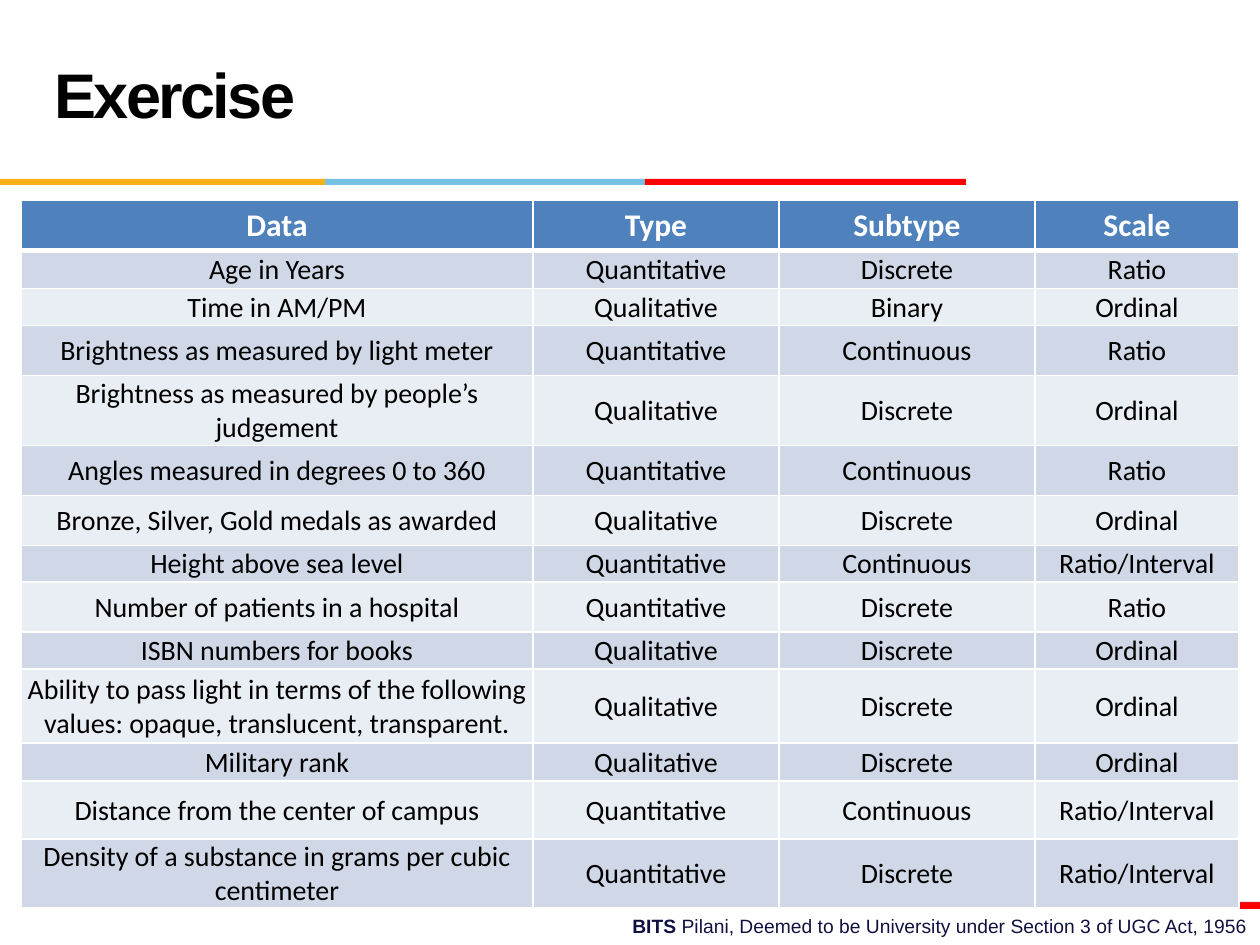
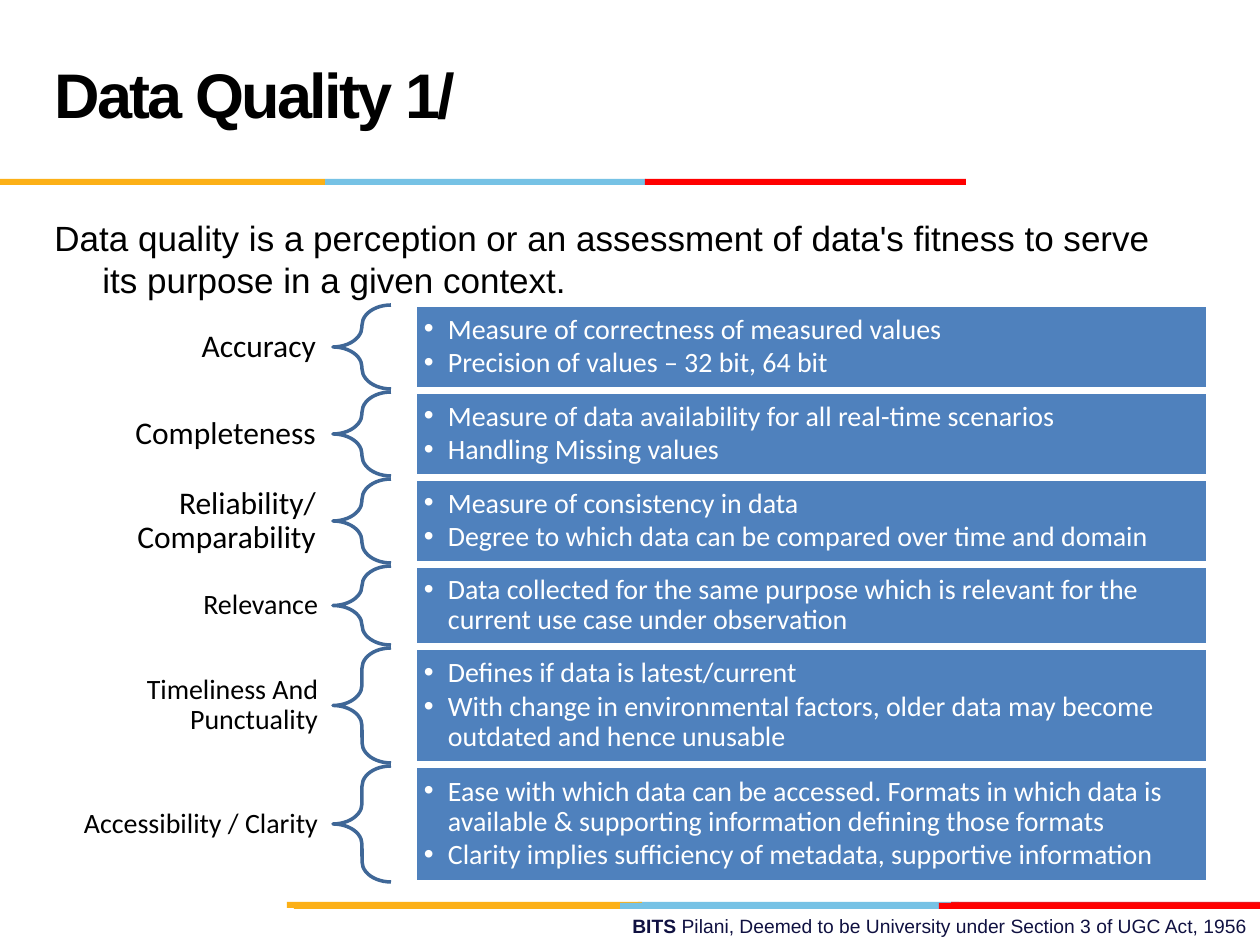
from lxml import etree
from pptx import Presentation, util as u
from pptx.dml.color import RGBColor
from pptx.enum import shapes, text
from pptx.oxml import ns

EMU_PER_PX = 914400 / 126

COLORS = {
    "black": "000000", "white": "FFFFFF", "navy": "101141",
    "gold": "FCB017", "sky": "76C2E5", "red": "FF0000", "crimson": "E31C24",
    "blue": "4F81BD", "brace": "3F6797",
    "odd_row": "D0D8E8", "even_row": "E9EDF4",
}

# Each stripe: colour, left, width
BANDS = [
    (902, [("sky", 638, 321), ("crimson", 951, 309), ("gold", 287, 355)]),
    (903, [("sky", 620, 321), ("gold", 294, 326), ("red", 939, 321)]),
    (179, [("sky", 325, 321), ("gold", 0, 325), ("red", 645, 321)]),
]
BAND_HEIGHT = 6

TITLE_FONT = {"name": "Arial", "size": u.Pt(36), "bold": True}
FOOTER_FONT = {"name": "Arial", "size": u.Pt(11)}
INTRO_FONT = {"name": "Arial", "size": u.Pt(20)}
BODY_FONT = {"name": "Calibri", "size": u.Pt(16), "bold": False}
HEADER_FONT = {"name": "Calibri", "size": u.Pt(18), "bold": True}

COLUMN_WIDTHS = [512, 246, 256, 204]
ROW_HEIGHTS = [50, 38, 37, 50, 70, 50, 50, 37, 50, 37, 74, 38, 58, 69]
EXERCISE_ROWS = [
    ("Data", "Type", "Subtype", "Scale"),
    ("Age in Years", "Quantitative", "Discrete", "Ratio"),
    ("Time in AM/PM", "Qualitative", "Binary", "Ordinal"),
    ("Brightness as measured by light meter", "Quantitative", "Continuous", "Ratio"),
    ("Brightness as measured by people’s judgement", "Qualitative", "Discrete", "Ordinal"),
    ("Angles measured in degrees 0 to 360", "Quantitative", "Continuous", "Ratio"),
    ("Bronze, Silver, Gold medals as awarded", "Qualitative", "Discrete", "Ordinal"),
    ("Height above sea level", "Quantitative", "Continuous", "Ratio/Interval"),
    ("Number of patients in a hospital", "Quantitative", "Discrete", "Ratio"),
    ("ISBN numbers for books", "Qualitative", "Discrete", "Ordinal"),
    ("Ability to pass light in terms of the following values: opaque, translucent, "
     "transparent.", "Qualitative", "Discrete", "Ordinal"),
    ("Military rank", "Qualitative", "Discrete", "Ordinal"),
    ("Distance from the center of campus", "Quantitative", "Continuous", "Ratio/Interval"),
    ("Density of a substance in grams per cubic centimeter", "Quantitative", "Discrete",
     "Ratio/Interval"),
]

# Each dimension: label, label size in points, row height, points
QUALITY_DIMENSIONS = [
    ("Accuracy", 18, 84, ["Measure of correctness of measured values",
                          "Precision of values – 32 bit, 64 bit"]),
    ("Completeness", 18, 84, ["Measure of data availability for all real-time scenarios",
                              "Handling Missing values"]),
    ("Reliability/Comparability", 18, 84, [
        "Measure of consistency in data",
        "Degree to which data can be compared over time and domain"]),
    ("Relevance", 16, 79, ["Data collected for the same purpose which is relevant for the "
                           "current use case under observation"]),
    ("Timeliness And Punctuality", 16, 115, [
        "Defines if data is latest/current",
        "With change in environmental factors, older data may become outdated and hence "
        "unusable"]),
    ("Accessibility / Clarity", 16, 116, [
        "Ease with which data can be accessed. Formats in which data is available & "
        "supporting information defining those formats",
        "Clarity implies sufficiency of metadata, supportive information"]),
]
DIMENSION_GAP = 3


def px(length):
    return u.Emu(round(length * EMU_PER_PX))


def rgb(color):
    return RGBColor.from_string(COLORS[color])


def apply(target, formats):
    for attribute, value in formats.items():
        setattr(target, attribute, value)


def margins(left, top, right, bottom):
    return {"margin_left": px(left), "margin_top": px(top),
            "margin_right": px(right), "margin_bottom": px(bottom)}


def add_run(paragraph, wording, font, color):
    run = paragraph.add_run()
    run.text = wording
    apply(run.font, font)
    run.font.color.rgb = rgb(color)
    return run


def hang(paragraph, indent):
    properties = paragraph._p.get_or_add_pPr()
    properties.set("marL", str(px(indent)))
    properties.set("indent", str(-px(indent)))
    return properties


def add_text_frame(slide, left, top, width, height, formats=None):
    frame = slide.shapes.add_textbox(px(left), px(top), px(width), px(height)).text_frame
    apply(frame, {"word_wrap": True, **(formats or {})})
    return frame


def add_shape(slide, kind, left, top, width, height, fill=None, line=None):
    shape = slide.shapes.add_shape(kind, px(left), px(top), px(width), px(height))
    shape.shadow.inherit = False
    if fill:
        shape.fill.solid()
        shape.fill.fore_color.rgb = rgb(fill)
    else:
        shape.fill.background()
    if line:
        shape.line.color.rgb = rgb(line)
        shape.line.width = u.Pt(2)
    else:
        shape.line.fill.background()
    return shape


def add_bands(slide):
    for top, stripes in BANDS:
        for color, left, width in stripes:
            add_shape(slide, shapes.MSO_SHAPE.RECTANGLE, left, top, width, BAND_HEIGHT, color)


def add_footer(slide):
    footer = add_text_frame(slide, 451, 908, 809, 37).paragraphs[0]
    footer.alignment = text.PP_ALIGN.RIGHT
    add_run(footer, "BITS ", {**FOOTER_FONT, "bold": True}, "navy")
    add_run(footer, "Pilani, Deemed to be University under Section 3 of UGC Act, 1956",
            FOOTER_FONT, "navy")


def add_title(slide, wording):
    frame = add_text_frame(slide, 42, 21, 872, 158,
                           {"vertical_anchor": text.MSO_ANCHOR.MIDDLE})
    title = frame.paragraphs[0]
    title.line_spacing = u.Pt(36)
    run = add_run(title, wording, TITLE_FONT, "black")
    run.font._element.set("spc", "-150")


def start_slide(deck, title):
    """Add a blank slide with the shared footer, bands and title."""
    slide = deck.slides.add_slide(deck.slide_layouts[6])
    add_footer(slide)
    add_bands(slide)
    add_title(slide, title)
    return slide


def add_borders(cell, points_by_side):
    properties = cell._tc.get_or_add_tcPr()
    for side, points in points_by_side.items():
        border = etree.SubElement(properties, ns.qn(f"a:ln{side}"), w=str(u.Pt(points)))
        fill = etree.SubElement(border, ns.qn("a:solidFill"))
        etree.SubElement(fill, ns.qn("a:srgbClr"), val=COLORS["white"])


def fill_cell(cell, wording, row):
    is_header = row == 0
    add_borders(cell, {"L": 1, "R": 1, "T": 3 if row == 1 else 1, "B": 3 if is_header else 1})
    cell.fill.solid()
    cell.fill.fore_color.rgb = rgb(
        "blue" if is_header else "odd_row" if row % 2 else "even_row")
    cell.vertical_anchor = text.MSO_ANCHOR.MIDDLE
    if not is_header:
        apply(cell, margins(1, 1, 1, 0))
    paragraph = cell.text_frame.paragraphs[0]
    paragraph.alignment = text.PP_ALIGN.CENTER
    add_run(paragraph, wording, HEADER_FONT if is_header else BODY_FONT,
            "white" if is_header else "black")


def add_exercise_table(slide):
    table = slide.shapes.add_table(
        len(ROW_HEIGHTS), len(COLUMN_WIDTHS), px(21), px(200),
        px(sum(COLUMN_WIDTHS)), px(sum(ROW_HEIGHTS))).table
    table.horz_banding = False
    for column, width in zip(table.columns, COLUMN_WIDTHS):
        column.width = px(width)
    for row, (height, wordings) in enumerate(zip(ROW_HEIGHTS, EXERCISE_ROWS)):
        table.rows[row].height = px(height)
        for column, wording in enumerate(wordings):
            fill_cell(table.cell(row, column), wording, row)


def add_intro(slide, wording):
    intro = add_text_frame(slide, 42, 210, 1134, 90).paragraphs[0]
    hang(intro, 48)
    add_run(intro, wording, INTRO_FONT, "black")


def add_label(slide, wording, size, top, height):
    side = size - 1
    frame = add_text_frame(slide, 42, top, 291, height, {
        **margins(side, 5, side, 5), "vertical_anchor": text.MSO_ANCHOR.MIDDLE})
    label = frame.paragraphs[0]
    apply(label, {"alignment": text.PP_ALIGN.RIGHT, "line_spacing": 0.9})
    add_run(label, wording, {**BODY_FONT, "size": u.Pt(size)}, "black")


def add_points(frame, points):
    apply(frame, {**margins(9, 9, 9, 9), "word_wrap": True,
                  "vertical_anchor": text.MSO_ANCHOR.MIDDLE})
    for index, wording in enumerate(points):
        point = frame.add_paragraph() if index else frame.paragraphs[0]
        properties = hang(point, 24)
        etree.SubElement(properties, ns.qn("a:buFont"), typeface="Arial")
        etree.SubElement(properties, ns.qn("a:buChar"), char="•")
        apply(point, {"alignment": text.PP_ALIGN.LEFT, "line_spacing": 0.9,
                      "space_after": u.Pt(2)})
        add_run(point, wording, BODY_FONT, "white")


def add_dimensions(slide):
    top = 305
    for label, size, height, points in QUALITY_DIMENSIONS:
        add_label(slide, label, size, top, height)
        brace = add_shape(slide, shapes.MSO_SHAPE.LEFT_BRACE, 333, top, 58, height,
                          line="brace")
        brace.adjustments[0] = 0.35
        panel = add_shape(slide, shapes.MSO_SHAPE.RECTANGLE, 415, top, 793, height,
                          "blue", "white")
        add_points(panel.text_frame, points)
        top += height + DIMENSION_GAP


def main():
    deck = Presentation()
    deck.slide_width, deck.slide_height = px(1260), px(945)

    exercise = start_slide(deck, "Exercise")
    add_exercise_table(exercise)

    quality = start_slide(deck, "Data Quality 1/")
    add_intro(quality, "Data quality is a perception or an assessment of data's fitness to "
                       "serve its purpose in a given context.")
    add_dimensions(quality)

    deck.save("out.pptx")


if __name__ == "__main__":
    main()
